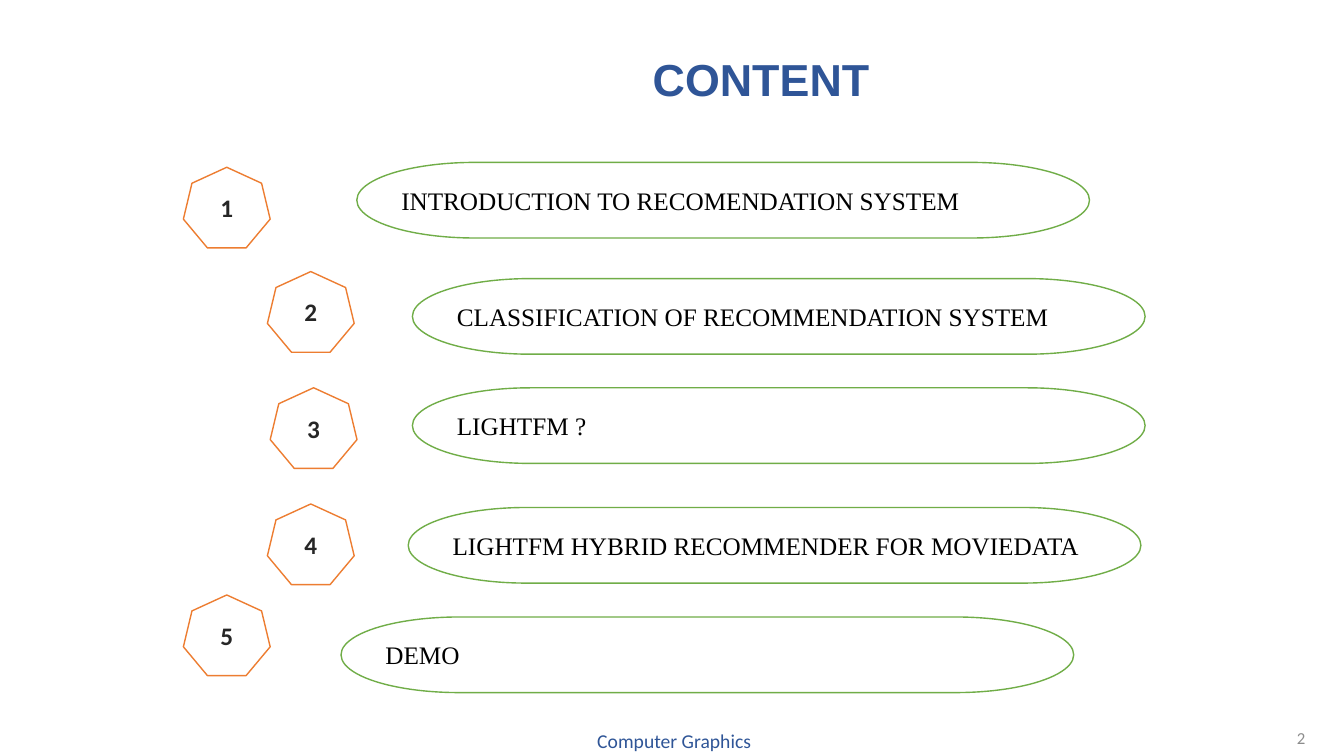
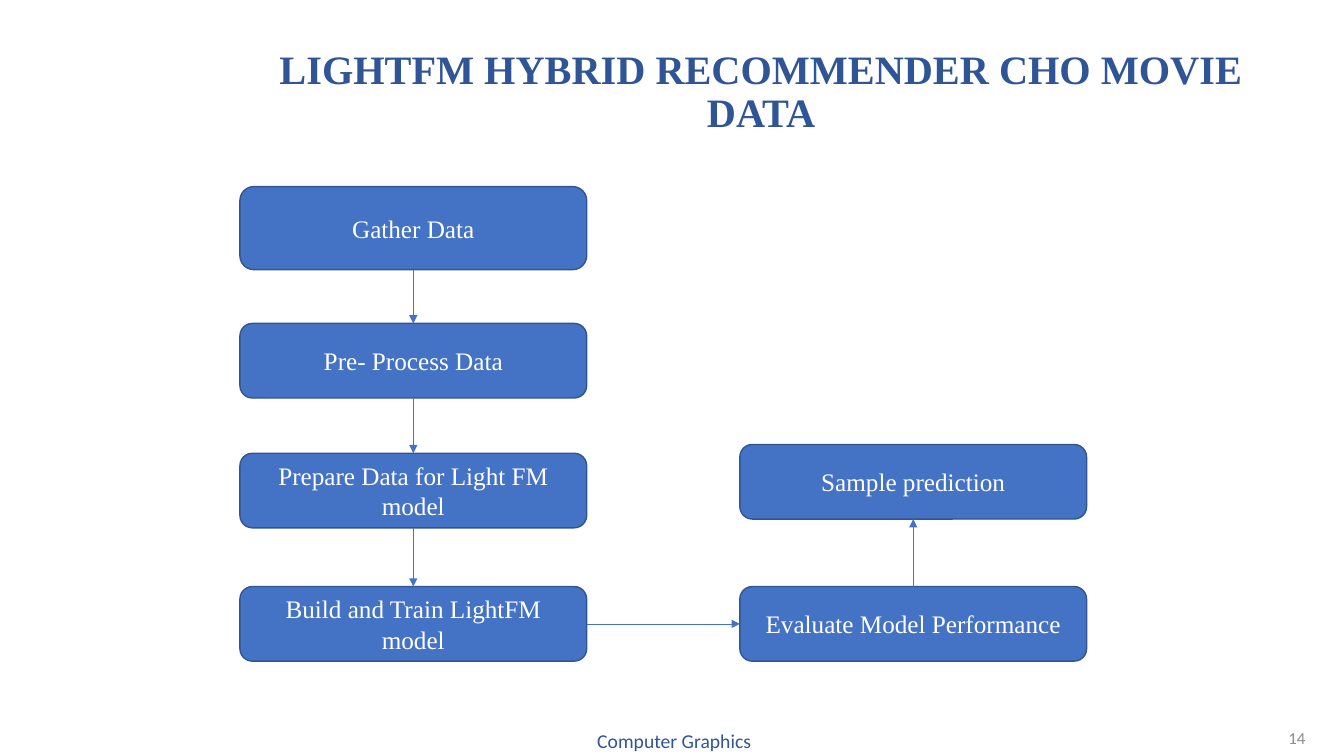
import pptx
import pptx.dml.color
import pptx.enum.shapes
import pptx.enum.text
import pptx.oxml
import pptx.oxml.ns
import pptx.util

Pt = pptx.util.Pt
SHAPE = pptx.enum.shapes.MSO_SHAPE
ALIGN = pptx.enum.text.PP_ALIGN
ANCHOR = pptx.enum.text.MSO_ANCHOR

NAVY, GREY, DARK, BLACK, WHITE = "2F5597", "8C8C8C", "262626", "000000", "FFFFFF"
ORANGE, GREEN, BLUE, BLUE_EDGE = "ED7D31", "70AD47", "4472C4", "325491"
SANS, HEADING, SERIF = "Calibri", "Arial", "Times New Roman"
TOP, LEFT, BOTTOM, RIGHT = range(4)


def color(value):
    """Turn a hex string into an RGB colour."""
    return pptx.dml.color.RGBColor.from_string(value)


def write(sp, text, font, size, ink, align=ALIGN.CENTER, bold=False, anchor=ANCHOR.MIDDLE):
    """Put one styled paragraph into a shape and return it."""
    tf = sp.text_frame
    tf.word_wrap = True
    tf.vertical_anchor = anchor
    p = tf.paragraphs[0]
    p.text = text
    p.alignment = align
    p.font.name, p.font.size, p.font.bold = font, Pt(size), bold
    p.font.color.rgb = color(ink)
    return p


def add_text(slide, box, text, font, size, ink, **style):
    """Add a text box and return its paragraph."""
    sp = slide.shapes.add_textbox(*map(Pt, box))
    return write(sp, text, font, size, ink, **style)


def add_shape(slide, kind, box, fill, edge):
    """Add a filled, outlined shape without a shadow."""
    sp = slide.shapes.add_shape(kind, *map(Pt, box))
    sp.shadow.inherit = False
    sp.fill.solid()
    sp.fill.fore_color.rgb = color(fill)
    sp.line.color.rgb = color(edge)
    sp.line.width = Pt(1)
    return sp


def add_arrow(slide, start, start_site, end, end_site):
    """Connect two shapes with a thin arrow."""
    line = slide.shapes.add_connector(pptx.enum.shapes.MSO_CONNECTOR.STRAIGHT, 0, 0, 0, 0)
    line.begin_connect(start, start_site)
    line.end_connect(end, end_site)
    line.line.color.rgb = color(BLUE)
    line.line.width = Pt(0.5)
    ln = line.line._get_or_add_ln()
    ln.append(pptx.oxml.parse_xml(f'<a:tailEnd {pptx.oxml.ns.nsdecls("a")} type="triangle"/>'))
    line._element.spPr.append(pptx.oxml.parse_xml(f'<a:effectLst {pptx.oxml.ns.nsdecls("a")}/>'))


def new_slide(prs, title, font, size, title_top, number):
    """Add a blank slide with the shared title, footer and page number."""
    slide = prs.slides.add_slide(prs.slide_layouts[6])
    add_text(slide, (293, 517, 377.3, 24.5), "Computer Graphics", SANS, 14, NAVY,
             anchor=ANCHOR.TOP)
    add_text(slide, (723.6, 514, 216, 26), number, SANS, 12, GREY, align=ALIGN.RIGHT)
    p = add_text(slide, (171.4, title_top, 744.5, 59), title, font, size, NAVY, bold=True)
    p.line_spacing = 0.9
    return slide


def agenda(slide, box, entries):
    """Draw numbered heptagons beside pills, offset from the box corner."""
    x, y, width, _ = box
    pill_width = 523.4
    for number, (text, badge, pill) in enumerate(entries, 1):
        sp = add_shape(slide, SHAPE.HEPTAGON, (x + badge[0], y + badge[1], 62, 57.6),
                       WHITE, ORANGE)
        write(sp, str(number), SANS, 18, DARK, bold=True)
        sp = add_shape(slide, SHAPE.FLOWCHART_TERMINATOR,
                       (x + width - pill_width - pill[0], y + pill[1], pill_width, 54),
                       WHITE, GREEN)
        write(sp, text, SERIF, 18, BLACK, align=ALIGN.LEFT)


def flowchart(slide, box, down, up):
    """Draw steps down the left of the box, then up its right side."""
    x, y, width, height = box
    step_width, step_height, first_height = 247.7, 53.3, 59.3
    pitch = (height - step_height) / (len(down) - 1)
    rise = 101.5

    def step(text, left, top, tall=step_height):
        """Add one rounded step."""
        sp = add_shape(slide, SHAPE.ROUNDED_RECTANGLE, (left, top, step_width, tall),
                       BLUE, BLUE_EDGE)
        write(sp, text, SERIF, 18, WHITE)
        return sp

    left_steps = [step(down[0], x, y, first_height)]
    left_steps += [step(text, x, y + i * pitch + 2.5 * (i == 1))
                   for i, text in enumerate(down[1:], 1)]
    right_steps = [step(text, x + width - step_width, y + height - step_height - i * rise)
                   for i, text in enumerate(up)]
    for start, end in zip(left_steps, left_steps[1:]):
        add_arrow(slide, start, BOTTOM, end, TOP)
    add_arrow(slide, left_steps[-1], RIGHT, right_steps[0], LEFT)
    for start, end in zip(right_steps, right_steps[1:]):
        add_arrow(slide, start, TOP, end, BOTTOM)


def main():
    """Build and save the presentation."""
    prs = pptx.Presentation()
    prs.slide_width, prs.slide_height = Pt(960), Pt(540)

    slide = new_slide(prs, "CONTENT", HEADING, 32, 28.8, "2")
    agenda(slide, (131, 116, 687, 379), [
        ("INTRODUCTION TO RECOMENDATION SYSTEM", (0, 3.5), (39.7, 0)),
        ("CLASSIFICATION OF RECOMMENDATION SYSTEM", (60, 78), (0, 83)),
        ("LIGHTFM ?", (62, 161), (0, 161)),
        ("LIGHTFM HYBRID RECOMMENDER FOR MOVIEDATA", (60, 244), (3, 246.5)),
        ("DEMO", (0, 309), (51, 324.7)),
    ])

    slide = new_slide(prs, "LIGHTFM HYBRID RECOMMENDER CHO MOVIE DATA", SERIF, 28.8, 36.7, "14")
    flowchart(slide, (171.4, 133.3, 604.8, 339),
              ["Gather Data", "Pre- Process Data", "Prepare Data for Light FM model",
               "Build and Train LightFM model"],
              ["Evaluate Model Performance", "Sample prediction"])

    prs.save("out.pptx")


if __name__ == "__main__":
    main()
